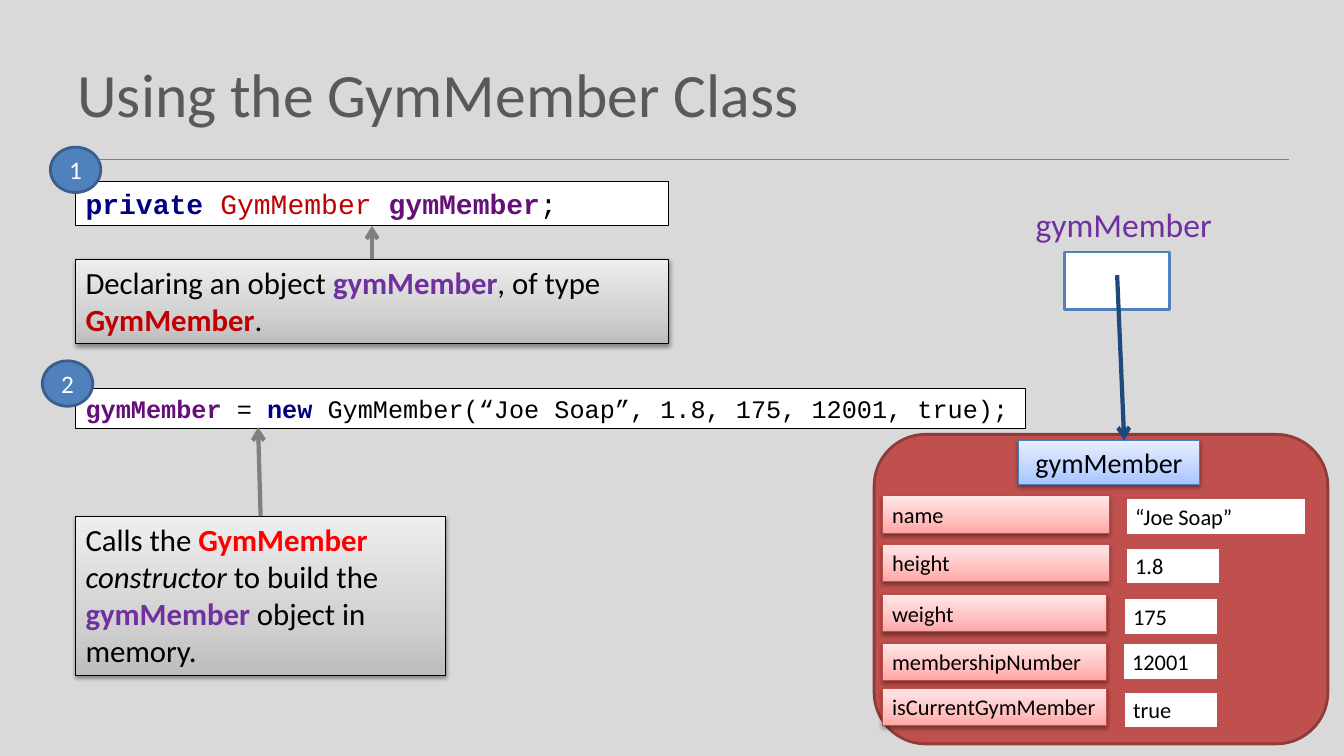
from pptx import Presentation
from pptx.dml.color import RGBColor
from pptx.enum.shapes import MSO_CONNECTOR, MSO_SHAPE
from pptx.enum.text import MSO_ANCHOR, MSO_AUTO_SIZE, PP_ALIGN
from pptx.oxml import parse_xml
from pptx.oxml.ns import nsdecls, qn
from pptx.util import Pt

PX = 9144  # 100 px to the inch

COLORS = {
    "background": "D9D9D9", "title": "595959", "gray": "808080",
    "black": "000000", "white": "FFFFFF", "navy": "000080",
    "crimson": "C00000", "red": "FF0000", "field": "660E7A",
    "purple": "7030A0", "blue": "4F81BD", "badge_edge": "3A5F8C",
    "object": "C0504D", "object_edge": "8E3B39",
    "attribute_edge": "BF4C48", "header_edge": "4B7EBC",
    "reference": "1F497D",
}
# Gradient stops at 0, 35 and 100 percent, from bottom to top
GRADIENTS = {
    "gray_shade": ("BDBDBD", "D1D1D1", "EEEEEE"),
    "red_shade": ("FFA6A5", "FFC0BF", "FFE7E7"),
    "blue_shade": ("A4C4FF", "BFD4FF", "E6EEFF"),
}
BOLD = {"bold": True}
ITALIC = {"italic": True}

# Attribute name, name top, name width, value, value left, value top, value width
ATTRIBUTES = [
    ("name", 492, 225, "“Joe Soap”", 1116, 494, 180),
    ("height", 540, 225, "1.8", 1116, 543, 94),
    ("weight", 590, 223, "175", 1114, 593, 94),
    ("membershipNumber", 638, 223, "12001", 1113, 638, 95),
    ("isCurrentGymMember", 683, 223, "true", 1114, 686, 94),
]


def rgb(color):
    return RGBColor.from_string(COLORS[color])


def write(shape, runs, size, font="Calibri", align=PP_ALIGN.LEFT,
          anchor=MSO_ANCHOR.TOP, grow=True):
    """Fill one paragraph with (text, color, format) runs."""
    frame = shape.text_frame
    frame_format = {
        "word_wrap": True,
        "vertical_anchor": anchor,
        "auto_size": MSO_AUTO_SIZE.SHAPE_TO_FIT_TEXT if grow else MSO_AUTO_SIZE.NONE,
    }
    for name, value in frame_format.items():
        setattr(frame, name, value)
    paragraph = frame.paragraphs[0]
    paragraph.alignment = align
    for text, color, extra in runs:
        run = paragraph.add_run()
        run.text = text
        run.font.color.rgb = rgb(color)
        run_format = {"name": font, "size": Pt(size), "bold": False, **extra}
        for name, value in run_format.items():
            setattr(run.font, name, value)


def add_text(slide, box, runs, size, **options):
    shape = slide.shapes.add_textbox(*(value * PX for value in box))
    write(shape, runs, size, **options)


def add_box(slide, box, fill, edge, width, kind=MSO_SHAPE.RECTANGLE):
    shape = slide.shapes.add_shape(kind, *(value * PX for value in box))
    shape.shadow.inherit = False
    shape.line.color.rgb = rgb(edge)
    shape.line.width = Pt(width)
    if fill in GRADIENTS:
        shade(shape, GRADIENTS[fill])
    else:
        shape.fill.solid()
        shape.fill.fore_color.rgb = rgb(fill)
    return shape


def shade(shape, stops):
    """Give a shape an upward gradient and a soft shadow."""
    stop_xml = "".join(
        f'<a:gs pos="{position}"><a:srgbClr val="{color}"/></a:gs>'
        for position, color in zip((0, 35000, 100000), stops))
    gradient = parse_xml(
        f'<a:gradFill {nsdecls("a")} rotWithShape="1"><a:gsLst>{stop_xml}</a:gsLst>'
        '<a:lin ang="16200000" scaled="0"/></a:gradFill>')
    shadow = parse_xml(
        f'<a:outerShdw {nsdecls("a")} blurRad="40000" dist="20000" dir="5400000" '
        'rotWithShape="0"><a:srgbClr val="000000"><a:alpha val="38000"/>'
        '</a:srgbClr></a:outerShdw>')
    properties = shape.element.spPr
    properties.find(qn("a:prstGeom")).addnext(gradient)
    properties.find(qn("a:effectLst")).append(shadow)


def add_line(slide, start, end, color, width, arrow=True):
    points = (value * PX for value in (*start, *end))
    connector = slide.shapes.add_connector(MSO_CONNECTOR.STRAIGHT, *points)
    connector.line.color.rgb = rgb(color)
    connector.line.width = Pt(width)
    properties = connector.element.spPr
    if arrow:
        properties.find(qn("a:ln")).append(
            parse_xml(f'<a:tailEnd {nsdecls("a")} type="arrow"/>'))
    properties.append(parse_xml(f'<a:effectLst {nsdecls("a")}/>'))
    return connector


def add_code(slide, box, runs, size):
    shape = add_box(slide, box, "white", "black", 0.75)
    write(shape, runs, size, font="Courier New", anchor=MSO_ANCHOR.MIDDLE)
    return shape


def add_note(slide, box, runs):
    shape = add_box(slide, box, "gray_shade", "black", 0.75)
    write(shape, runs, 22)
    return shape


def add_badge(slide, left, top, number):
    shape = add_box(slide, (left, top, 50, 45), "blue", "badge_edge", 2, MSO_SHAPE.OVAL)
    write(shape, [(number, "white", {})], 18, align=PP_ALIGN.CENTER,
          anchor=MSO_ANCHOR.MIDDLE, grow=False)


def add_attribute(slide, name, top, width, value, value_left, value_top, value_width):
    label = add_box(slide, (875, top, width, 37), "red_shade", "attribute_edge", 0.75)
    write(label, [(name, "black", {})], 16)
    cell = add_box(slide, (value_left, value_top, value_width, 37), "white", "object", 2)
    write(cell, [(value, "black", {})], 16)


def main():
    presentation = Presentation()
    presentation.slide_width = 1333 * PX
    presentation.slide_height = 750 * PX
    slide = presentation.slides.add_slide(presentation.slide_layouts[6])
    slide.background.fill.solid()
    slide.background.fill.fore_color.rgb = rgb("background")

    # Title and rule
    add_line(slide, (67, 158), (1278, 158), "gray", 1, arrow=False)
    add_text(slide, (67, 30, 1200, 125), [("Using the GymMember Class", "title", {})],
             44, anchor=MSO_ANCHOR.MIDDLE, grow=False)

    # Step 1: declaration
    declaration = add_code(slide, (75, 180, 588, 44), [
        ("private ", "navy", BOLD), ("GymMember ", "crimson", {}),
        ("gymMember", "field", BOLD), (";", "black", {})], 20)
    declaration_note = add_note(slide, (75, 257, 588, 84), [
        ("Declaring an object ", "black", {}), ("gymMember", "purple", BOLD),
        (", of type ", "black", {}), ("GymMember", "crimson", BOLD), (".", "black", {})])
    arrow = add_line(slide, (369, 257), (369, 224), "gray", 3)
    arrow.begin_connect(declaration_note, 0)
    arrow.end_connect(declaration, 2)
    add_badge(slide, 50, 146, "1")

    # Reference variable
    add_text(slide, (1006, 197, 217, 50), [("gymMember", "purple", {})], 24,
             align=PP_ALIGN.CENTER)
    add_box(slide, (1056, 250, 104, 57), "white", "blue", 2)

    # Step 2: constructor call
    add_code(slide, (75, 385, 942, 40), [
        ("gymMember ", "field", BOLD), ("= ", "black", {}), ("new ", "navy", BOLD),
        ("GymMember(“Joe Soap”, 1.8, 175, 12001, true);", "black", {})], 18)
    constructor_note = add_note(slide, (75, 512, 367, 158), [
        ("Calls the ", "black", {}), ("GymMember ", "red", BOLD),
        ("constructor", "black", ITALIC), (" to build the ", "black", {}),
        ("gymMember ", "purple", BOLD), ("object in memory.", "black", {})])
    arrow = add_line(slide, (258, 512), (256, 424), "gray", 3)
    arrow.begin_connect(constructor_note, 0)
    add_badge(slide, 42, 358, "2")

    # Object in memory
    add_box(slide, (867, 431, 450, 307), "object", "object_edge", 2,
            MSO_SHAPE.ROUNDED_RECTANGLE)
    header = add_box(slide, (1010, 437, 180, 44), "blue_shade", "header_edge", 0.75)
    write(header, [("gymMember", "black", {})], 20, align=PP_ALIGN.CENTER)
    for attribute in ATTRIBUTES:
        add_attribute(slide, *attribute)
    add_line(slide, (1108, 273), (1115, 437), "reference", 3)

    presentation.save("out.pptx")


if __name__ == "__main__":
    main()
